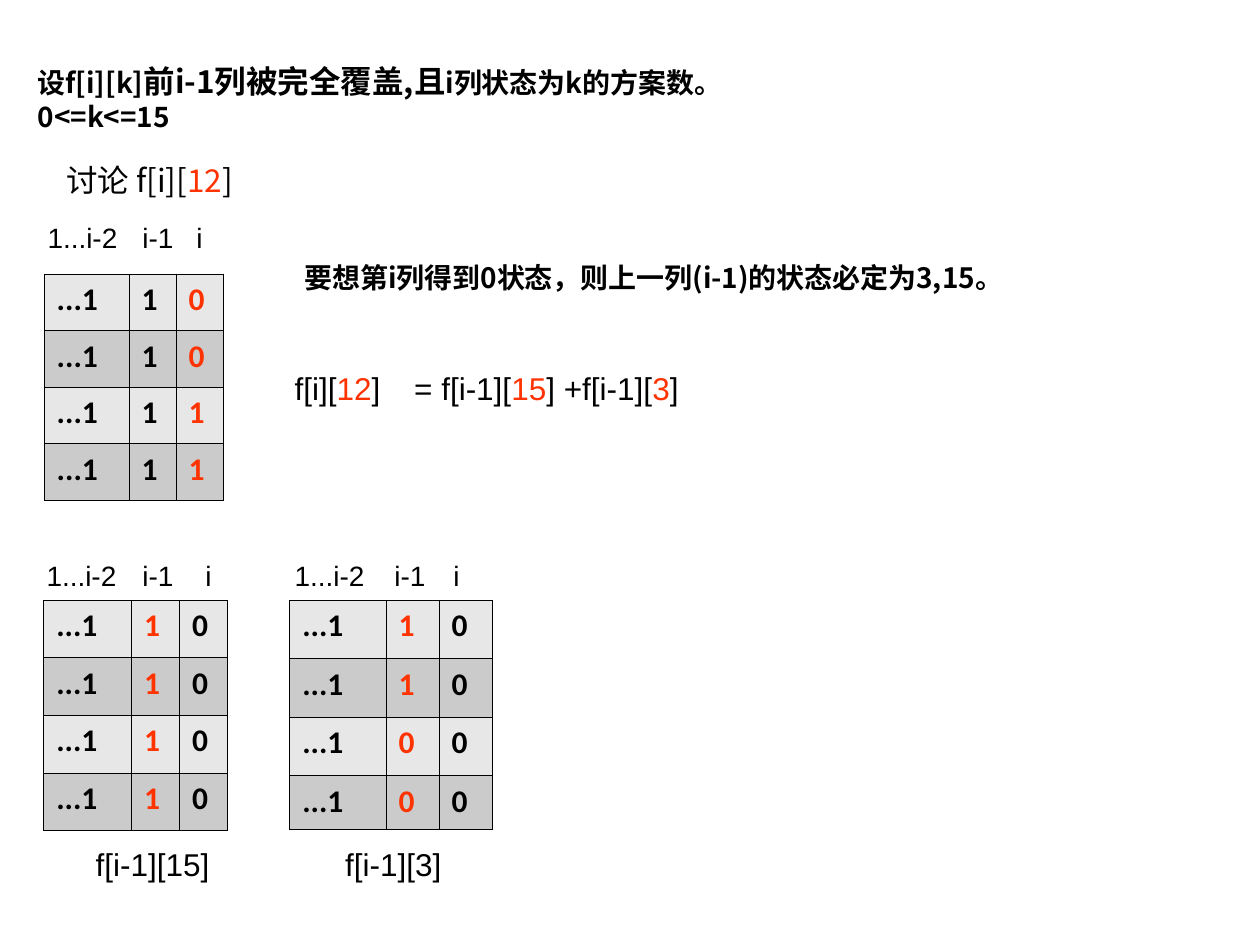
from lxml.etree import SubElement
from pptx import Presentation
from pptx.dml.color import RGBColor
from pptx.enum.text import MSO_AUTO_SIZE
from pptx.oxml.ns import qn
from pptx.util import Cm, Pt

BLACK, RED = "000000", "FF3300"
BANDS = ("E7E7E7", "CBCBCB")
CJK = "Noto Sans CJK SC"


def colour(value):
    """Turn a hex string into a colour."""
    return RGBColor.from_string(value)


class StateSlide:
    """Hold the text style and the page, and place elements measured in cm."""

    def __init__(self, page):
        """Keep the page and the default text format."""
        self.page = page
        self.style = {"name": "Arial", "size": 18, "bold": False, "color": BLACK}

    def add_spans(self, para, text, accent, **changes):
        """Fill a paragraph; every second part between bars has the accent format."""
        for index, part in enumerate(text.split("|")):
            values = {**self.style, **changes, **(accent if index % 2 else {})}
            span = para.add_run()
            span.text = part
            span.font.color.rgb = colour(values.pop("color"))
            values["size"] = Pt(values["size"])
            for key, value in values.items():
                setattr(span.font, key, value)
            east_asian = SubElement(span.font._element, qn("a:ea"))
            east_asian.set("typeface", values["name"])

    def text(self, place, *lines, accent=None, **changes):
        """Add a text box with one paragraph for each line."""
        box = self.page.shapes.add_textbox(*map(Cm, place))
        frame = box.text_frame
        frame.word_wrap = True
        frame.auto_size = MSO_AUTO_SIZE.SHAPE_TO_FIT_TEXT
        for index, line in enumerate(lines):
            para = frame.add_paragraph() if index else frame.paragraphs[0]
            self.add_spans(para, line, accent or {"color": RED}, **changes)

    def border(self, cell):
        """Draw a thin black line on all sides of a cell."""
        properties = cell._tc.get_or_add_tcPr()
        for side in ("lnL", "lnR", "lnT", "lnB"):
            line = SubElement(properties, qn(f"a:{side}"), w=str(Pt(0.45)))
            fill = SubElement(line, qn("a:solidFill"))
            SubElement(fill, qn("a:srgbClr"), val=BLACK)

    def table(self, left, top, widths, heights, rows):
        """Add a banded table of cell states."""
        place = map(Cm, (left, top, sum(widths), sum(heights)))
        grid = self.page.shapes.add_table(len(rows), len(widths), *place).table
        grid.first_row = grid.horz_banding = False
        for column, width in zip(grid.columns, widths):
            column.width = Cm(width)
        for index, (row, height, states) in enumerate(zip(grid.rows, heights, rows)):
            row.height = Cm(height)
            for cell, state in zip(row.cells, states):
                self.border(cell)
                cell.fill.solid()
                cell.fill.fore_color.rgb = colour(BANDS[index % 2])
                self.add_spans(cell.text_frame.paragraphs[0], state, {"color": RED},
                               name="Calibri", bold=True)

    def headings(self, top, lefts):
        """Add the three column labels above a table."""
        for label, left, width in zip(("1...i-2", "i-1", "i"), lefts, (2.16, 1.4, 1.65)):
            self.text((left, top, width, 0.94), label, size=16)


def main():
    """Build the slide and save it."""
    deck = Presentation()
    deck.slide_width, deck.slide_height = Cm(25.4), Cm(19.05)
    slide = StateSlide(deck.slides.add_slide(deck.slide_layouts[6]))

    slide.text((0.51, 1.12, 21.79, 1.7),
               "设f[i][k]|前i-1列被完全覆盖,且|i列状态为k的方案数。", "0<=k<=15",
               accent={"size": 18}, name=CJK, size=16, bold=True)
    slide.text((1.09, 3.12, 7.21, 1.02), "讨论 f[i][|12|]", name=CJK)
    slide.text((5.89, 5.13, 18.59, 0.94),
               "要想第i列得到0状态，则上一列(i-1)的状态必定为3,15。",
               name=CJK, size=16, bold=True)
    slide.text((5.69, 7.32, 2.36, 1.02), "f[i][|12|]")
    slide.text((8.1, 7.32, 7.21, 1.02), "= f[i-1][|15|] +f[i-1][|3|]")

    slide.headings(4.32, (0.71, 2.62, 3.71))
    slide.table(0.89, 5.53, (1.71, 0.95, 0.95), [1.14] * 4,
                [("...1", "1", f"|{state}|") for state in "0011"])

    slide.headings(11.13, (0.69, 2.62, 3.89))
    slide.table(0.88, 12.1, (1.77, 0.97, 0.97), [1.16] * 4,
                [("...1", f"|{state}|", "0") for state in "1111"])
    slide.text((1.68, 16.92, 2.97, 1.02), "f[i-1][15]")

    slide.headings(11.13, (5.69, 7.7, 8.89))
    slide.table(5.84, 12.1, (1.94, 1.07, 1.07), (1.18, 1.18, 1.18, 1.08),
                [("...1", f"|{state}|", "0") for state in "1100"])
    slide.text((6.71, 16.92, 2.6, 1.02), "f[i-1][3]")

    deck.save("out.pptx")


if __name__ == "__main__":
    main()
